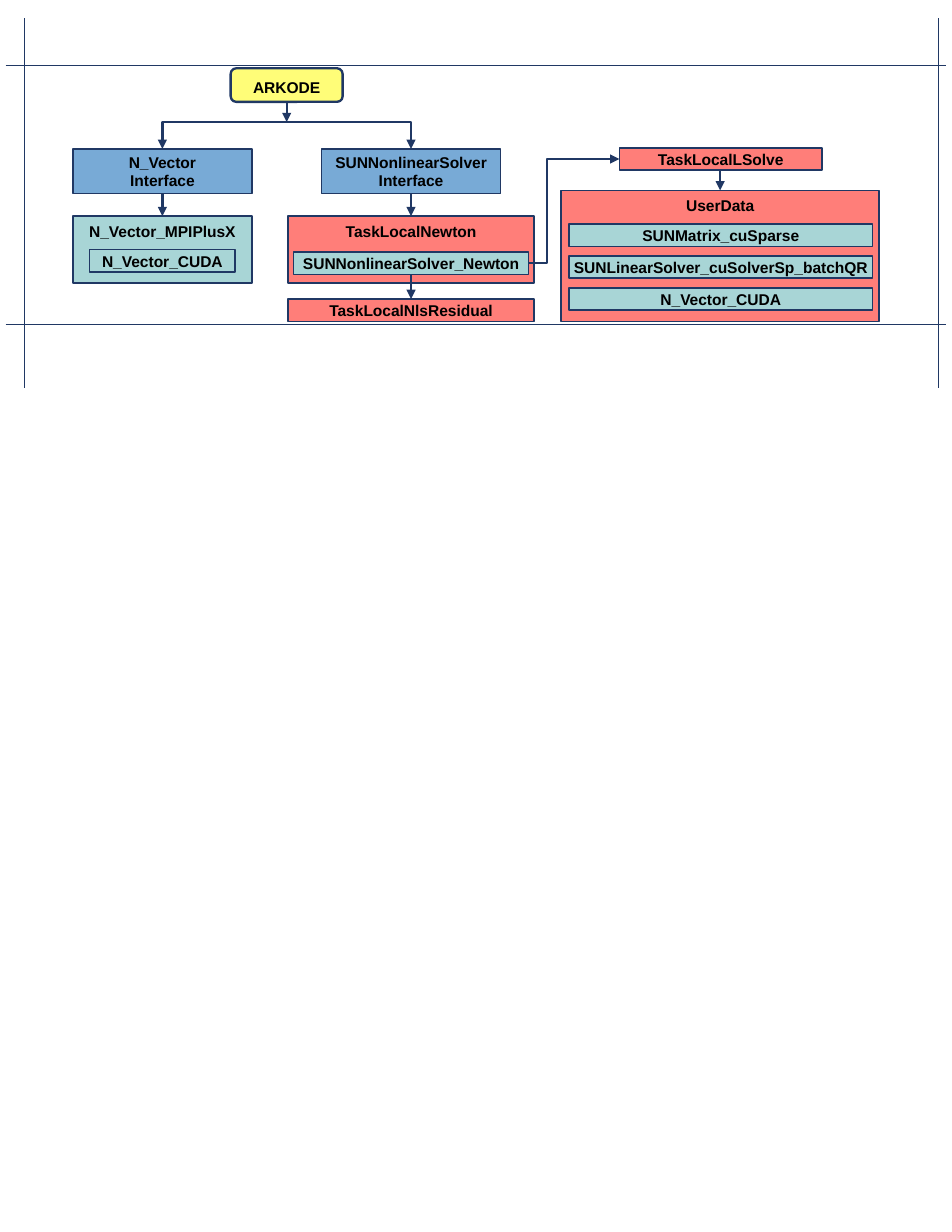
import pptx
import pptx.util
import pptx.dml.color
import pptx.enum.shapes
import pptx.enum.text
import pptx.oxml
import pptx.oxml.ns
import lxml.etree

Inches = pptx.util.Inches
Pt = pptx.util.Pt
SHAPES = pptx.enum.shapes.MSO_SHAPE
ANCHORS = pptx.enum.text.MSO_ANCHOR
CONNECTORS = pptx.enum.shapes.MSO_CONNECTOR

NAVY, YELLOW, BLUE, TEAL, RED = "203864", "FFFD78", "78AAD6", "A8D5D6", "FF7E79"


def color(hex_code):
    return pptx.dml.color.RGBColor.from_string(hex_code)


def write(box, text, size=10, bold=True, fill="000000", anchor=ANCHORS.MIDDLE,
          side_inset=0.1, spacing=1.0):
    frame = box.text_frame
    frame.word_wrap = True
    frame.vertical_anchor = anchor
    frame.margin_left = frame.margin_right = Inches(side_inset)
    frame.margin_top = frame.margin_bottom = Inches(0.05)
    for index, line in enumerate(text.split("\n")):
        para = frame.paragraphs[0] if index == 0 else frame.add_paragraph()
        para.alignment = pptx.enum.text.PP_ALIGN.CENTER
        para.line_spacing = spacing
        span = para.add_run()
        span.text = line
        span.font.name = "Arial"
        span.font.size = Pt(size)
        span.font.bold = bold
        span.font.color.rgb = color(fill)


def add_element(parent, tag, **attributes):
    return lxml.etree.SubElement(parent, pptx.oxml.ns.qn(tag), **attributes)


class Diagram:
    def __init__(self, page, line_color=NAVY):
        self.page = page
        self.line_color = line_color

    def box(self, text, left, top, width, height, fill,
            shape=SHAPES.RECTANGLE, border=1, **text_format):
        box = self.page.shapes.add_shape(
            shape, Inches(left), Inches(top), Inches(width), Inches(height))
        box.shadow.inherit = False
        box.fill.solid()
        box.fill.fore_color.rgb = color(fill)
        box.line.color.rgb = color(self.line_color)
        box.line.width = Pt(border)
        write(box, text, **text_format)

    def line(self, start, end, width=1.5, arrow=True, kind=CONNECTORS.STRAIGHT):
        line = self.page.shapes.add_connector(
            kind, *[Inches(value) for value in (*start, *end)])
        line.line.color.rgb = color(self.line_color)
        line.line.width = Pt(width)
        if arrow:
            add_element(line.line._get_or_add_ln(), "a:tailEnd", type="triangle")
        add_element(line._element.spPr, "a:effectLst")
        return line

    def corner(self, start, end):
        line = self.line(start, end, kind=CONNECTORS.ELBOW)
        line._element.spPr.find(pptx.oxml.ns.qn("a:prstGeom")).set("prst", "bentConnector2")

    def step(self, start, end, bend):
        line = self.line(start, end, kind=CONNECTORS.ELBOW)
        geometry = line._element.spPr.find(pptx.oxml.ns.qn("a:prstGeom"))
        guides = geometry.find(pptx.oxml.ns.qn("a:avLst"))
        if guides is None:
            guides = add_element(geometry, "a:avLst")
        add_element(guides, "a:gd", name="adj1", fmla=f"val {round(bend * 100000)}")


deck = pptx.Presentation()
deck.slide_width, deck.slide_height = Inches(8.5), Inches(11)
diagram = Diagram(deck.slides.add_slide(deck.slide_layouts[6]))

# Frame rules
for x in (0.22, 8.38):
    diagram.line((x, 3.46), (x, 0.16), width=0.5, arrow=False)
for y in (0.58, 2.9):
    diagram.line((0.05, y), (8.45, y), width=0.5, arrow=False)

# Column centres and shared heights
vector_x, root_x, solver_x, user_x = 1.45, 2.56, 3.67, 6.43
fork_y, interface_y, module_y = 1.09, 1.33, 1.93
row = 0.2

# Root and its two interfaces
diagram.box("ARKODE", root_x - 0.5, 0.61, 1, 0.3, YELLOW,
            shape=SHAPES.ROUNDED_RECTANGLE, border=1.5, spacing=1.2)
diagram.line((root_x, 0.91), (root_x, fork_y))
for x, name in ((vector_x, "N_Vector"), (solver_x, "SUNNonlinearSolver")):
    diagram.corner((root_x, fork_y), (x, interface_y))
    diagram.box(name + "\nInterface", x - 0.8, interface_y, 1.6, 0.4, BLUE)
    diagram.line((x, interface_y + 0.4), (x, module_y))

# Vector module
diagram.box("N_Vector_MPIPlusX", vector_x - 0.8, module_y, 1.6, 0.6, TEAL,
            anchor=ANCHORS.TOP)
diagram.box("N_Vector_CUDA", vector_x - 0.65, 2.23, 1.3, row, TEAL)

# Nonlinear solver module
diagram.box("TaskLocalNewton", solver_x - 1.1, module_y, 2.2, 0.6, RED,
            anchor=ANCHORS.TOP)
diagram.box("SUNNonlinearSolver_Newton", solver_x - 1.05, 2.25, 2.1, row, TEAL,
            side_inset=0)
diagram.box("TaskLocalNlsResidual", solver_x - 1.1, 2.67, 2.2, row, RED)
diagram.line((solver_x, 2.45), (solver_x, 2.67))

# Linear solve and its user data
diagram.box("TaskLocalLSolve", 5.53, 1.32, 1.81, row, RED)
diagram.step((4.72, 2.35), (5.53, 1.42), bend=0.206)
diagram.box("UserData", 5.01, 1.7, 2.84, 1.17, RED, anchor=ANCHORS.TOP)
diagram.line((user_x, 1.52), (user_x, 1.7))
user_data = ("SUNMatrix_cuSparse", "SUNLinearSolver_cuSolverSp_batchQR", "N_Vector_CUDA")
for index, name in enumerate(user_data):
    diagram.box(name, 5.08, 2 + 0.285 * index, 2.71, row, TEAL, side_inset=0)

deck.save("out.pptx")
